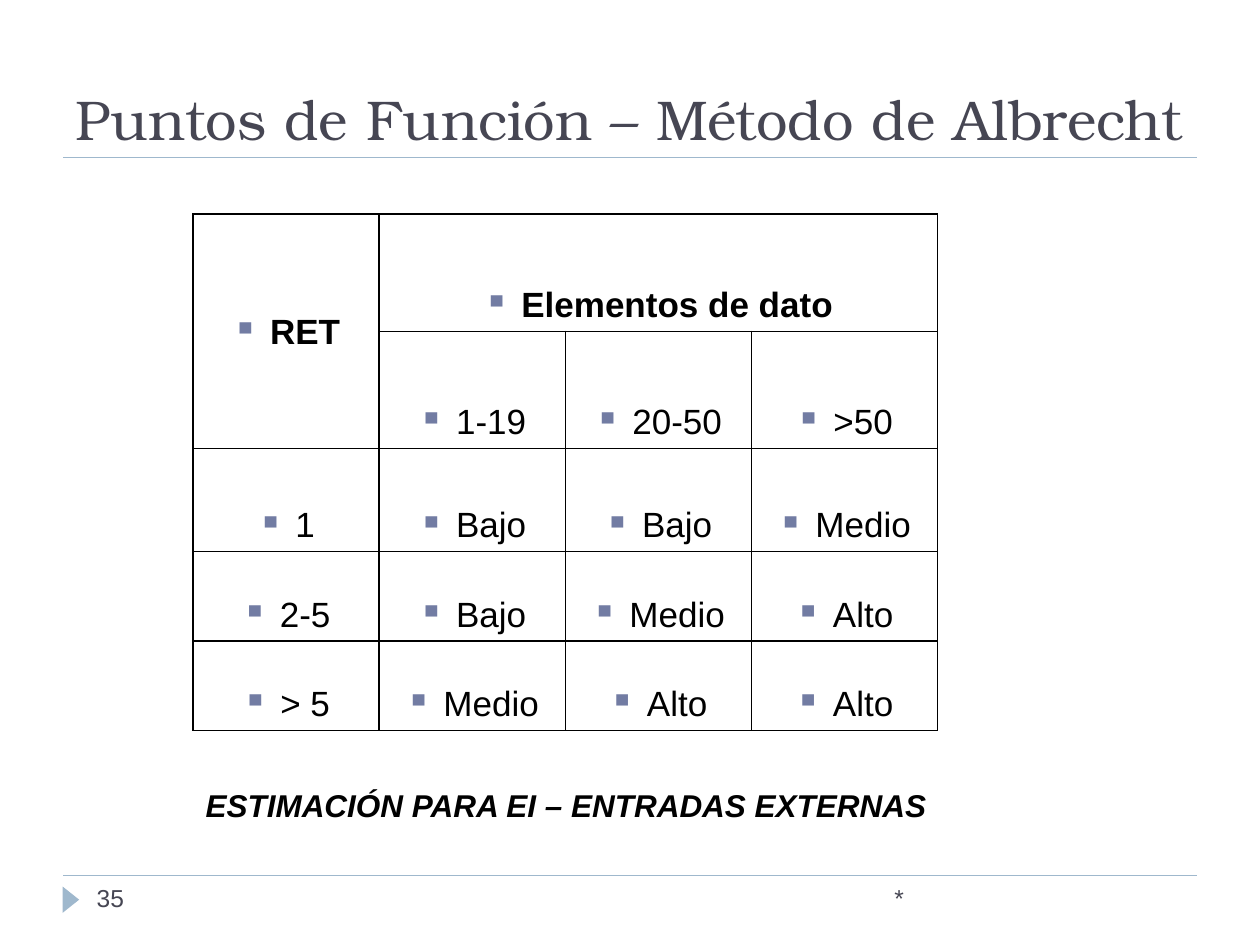
import lxml.etree
import pptx
import pptx.dml.color
import pptx.enum.shapes
import pptx.enum.text
import pptx.oxml.ns
import pptx.util

Pt = pptx.util.Pt
qn = pptx.oxml.ns.qn
ANCHOR = pptx.enum.text.MSO_ANCHOR


def color(value):
    return pptx.dml.color.RGBColor.from_string(value)


def write(frame, text, size, value, name="Arial", spacing=None):
    frame.word_wrap = True
    para = frame.paragraphs[0]
    para.text = text
    para.line_spacing = spacing
    para.font.size = Pt(size)
    para.font.name = name
    para.font.color.rgb = color(value)
    return para


deck = pptx.Presentation()
deck.slide_width, deck.slide_height = Pt(720), Pt(540)
page = deck.slides.add_slide(deck.slide_layouts[6])

for y in (500.4, 90):
    rule = page.shapes.add_connector(
        pptx.enum.shapes.MSO_CONNECTOR.STRAIGHT, Pt(36), Pt(y), Pt(684), Pt(y))
    rule.line.color.rgb = color("9FB8CD")
    rule.line.width = Pt(0.75)
    lxml.etree.SubElement(rule._element.spPr, qn("a:effectLst"))

marker = page.shapes.add_shape(
    pptx.enum.shapes.MSO_SHAPE.ISOSCELES_TRIANGLE, Pt(33), Pt(509.4), Pt(15), Pt(9.4))
marker.rotation = 90
marker.shadow.inherit = False
marker.fill.solid()
marker.fill.fore_color.rgb = color("9FB8CD")
marker.line.fill.background()

for text, left, width in (("*", 504, 180), ("35", 48.2, 156)):
    box = page.shapes.add_textbox(Pt(left), Pt(500.4), Pt(width), Pt(28.8))
    write(box.text_frame, text, 14, "464653", spacing=1.05)

rows = [
    ["RET", "Elementos de dato", "", ""],
    ["", "1-19", "20-50", ">50"],
    ["1", "Bajo", "Bajo", "Medio"],
    ["2-5", "Bajo", "Medio", "Alto"],
    ["> 5", "Medio", "Alto", "Alto"],
]
heights = [66.9, 66.9, 59, 51.1, 51.1]
column_width = 106.3
table = page.shapes.add_table(
    len(rows), 4, Pt(110.4), Pt(122.4), Pt(4 * column_width), Pt(sum(heights))).table
for column in table.columns:
    column.width = Pt(column_width)
for row, height in zip(table.rows, heights):
    row.height = Pt(height)
table.cell(0, 0).merge(table.cell(1, 0))
table.cell(0, 1).merge(table.cell(0, 3))

for row_index, values in enumerate(rows):
    for column_index, value in enumerate(values):
        cell = table.cell(row_index, column_index)
        properties = cell._tc.get_or_add_tcPr()
        for side in ("a:lnL", "a:lnR", "a:lnT", "a:lnB"):
            border = lxml.etree.SubElement(properties, qn(side), w=str(Pt(1)))
            fill = lxml.etree.SubElement(border, qn("a:solidFill"))
            lxml.etree.SubElement(fill, qn("a:srgbClr"), val="000000")
        cell.fill.background()
        if not value:
            continue
        cell.vertical_anchor = ANCHOR.MIDDLE if value == "RET" else ANCHOR.BOTTOM
        para = cell.text_frame.paragraphs[0]
        para.alignment = pptx.enum.text.PP_ALIGN.CENTER
        para.line_spacing = 1.05
        layout = para._p.get_or_add_pPr()
        layout.set("marL", str(Pt(21.6)))
        layout.set("indent", str(Pt(-21.6)))
        bullet_color = lxml.etree.SubElement(layout, qn("a:buClr"))
        lxml.etree.SubElement(bullet_color, qn("a:srgbClr"), val="727CA3")
        lxml.etree.SubElement(layout, qn("a:buChar"), char="▪")
        write(cell.text_frame, value, 20, "000000", spacing=1.05)
        para.font.bold = row_index == 0

caption = page.shapes.add_textbox(Pt(110.4), Pt(445.7), Pt(428.4), Pt(28.8))
para = write(caption.text_frame, "ESTIMACIÓN PARA EI – ENTRADAS EXTERNAS", 18, "000000")
para.font.bold = True
para.font.italic = True

title = page.shapes.add_textbox(Pt(36), Pt(12.2), Pt(648), Pt(77.8))
title.text_frame.vertical_anchor = ANCHOR.BOTTOM
title.text_frame.margin_right = 0
write(title.text_frame, "Puntos de Función – Método de Albrecht", 32, "464653", "TeX Gyre Bonum")

deck.save("out.pptx")
